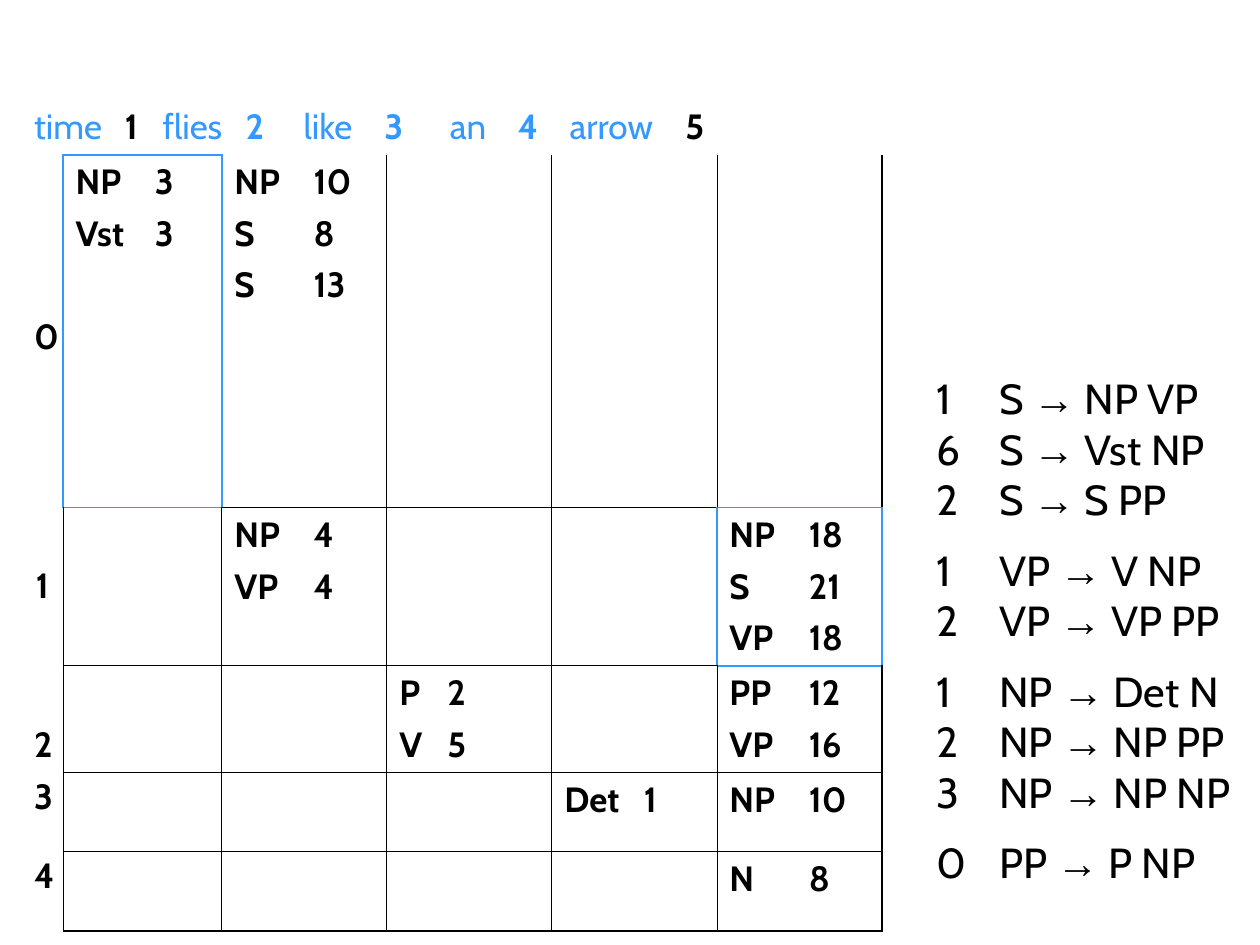
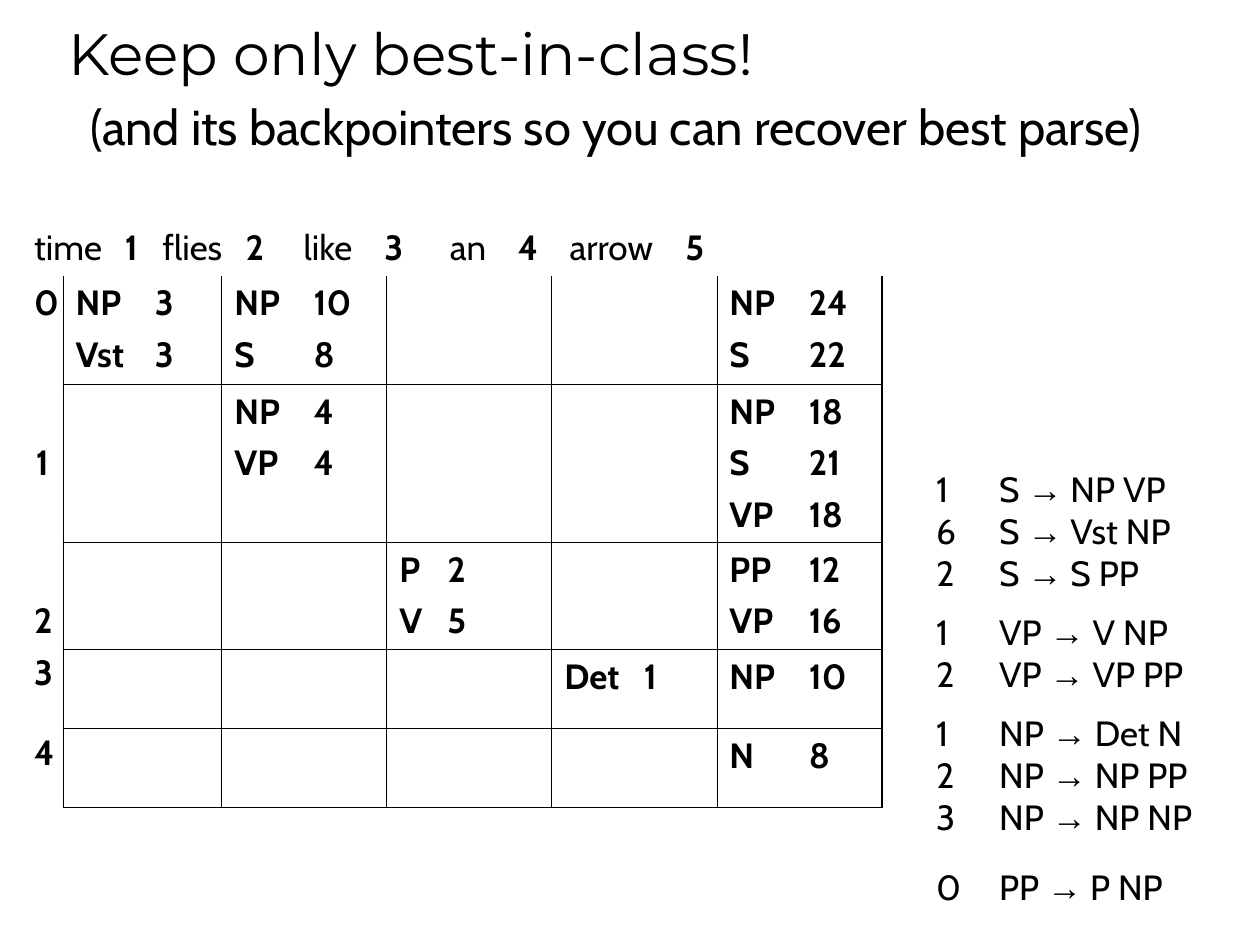
from lxml.etree import SubElement as Sub
from pptx import Presentation
from pptx.dml.color import RGBColor as RGB
from pptx.enum.text import MSO_ANCHOR as Anchor, MSO_AUTO_SIZE as Fit, PP_ALIGN as Align
from pptx.oxml.ns import qn
from pptx.util import Inches, Pt

BLACK = RGB(0x00, 0x00, 0x00)
BLUE = RGB(0x33, 0x99, 0xFF)
TEXT, HEAD, SIGN = "Cabin", "Montserrat", "Arial"
THIN, THICK = 0.45, 1.08
PLAIN = "{2D5ABB26-0587-4C30-8999-92F81FD0307C}"  # table style without grid

deck = Presentation()
deck.slide_width, deck.slide_height = Inches(10), Inches(7.5)
W, H = deck.slide_width, deck.slide_height


def put(shape, x, y, w, h):
    """Place a text shape by percent of the slide and return its first paragraph."""
    shape.left, shape.width = int(W * x / 100), int(W * w / 100)
    shape.top, shape.height = int(H * y / 100), int(H * h / 100)
    frame = shape.text_frame
    frame.word_wrap, frame.auto_size = True, Fit.NONE
    return frame.paragraphs[0]


def write(par, size, stops, runs):
    """Add tab stops, then runs of (text, face, colour, bold)."""
    if stops:
        tabs = Sub(par._p.get_or_add_pPr(), qn("a:tabLst"))
        for stop in stops:
            Sub(tabs, qn("a:tab"), pos=str(int(stop)), algn="l")
    for text, face, tone, bold in runs:
        run = par.add_run()
        run.text = text
        font = run.font
        font.name, font.size, font.bold = face, Pt(size), bold
        font.color.rgb = tone


# Sentence with its position numbers, and the stops between them
WORDS = ["time", "1", "flies", "2", "like", "3", "an", "4", "arrow", "5"]
STOPS = [0.72, 1.02, 1.68, 2.14, 2.78, 3.3, 3.84, 4.25, 5.17]

# Parse chart: columns, label spacing, and entries by (row, column)
COLS = [0.33] + [1.26] + [1.31] * 4
LEADS = [1.0, 2.2, 2.2, 0.9, 0.9]
SHARED = {
    (1, 1): ["NP 3", "Vst 3"],
    (2, 2): ["NP 4", "VP 4"],
    (2, 5): ["NP 18", "S 21", "VP 18"],
    (3, 3): ["P 2", "V 5"],
    (3, 5): ["PP 12", "VP 16"],
    (4, 4): ["Det 1"],
    (4, 5): ["NP 10"],
    (5, 5): ["N 8"],
}

# Grammar: groups of weighted rules, and the width in ems of each weight
RULES = [
    ["1 S NP VP", "6 S Vst NP", "2 S S PP"],
    ["1 VP V NP", "2 VP VP PP"],
    ["1 NP Det N", "2 NP NP PP", "3 NP NP NP"],
    ["0 PP P NP"],
]
EMS = {"1": 0.81, "0": 1.17}

# What differs between the slides
VIEWS = [
    dict(top=10.53, rows=[0.43, 2.8, 1.24, 0.84, 0.63, 0.63], drop=1.28,
         more={(1, 2): ["NP 10", "S 8", "S 13"]},
         mark=[(1, 1), (2, 5)], tones=[BLUE] * 10,
         rules=(38.8, 55.7), size=24, last=1.4, title=None),
    dict(top=23.33, rows=[0.43, 0.86, 1.25, 0.84, 0.63, 0.63], drop=0.05,
         more={(1, 2): ["NP 10", "S 8"], (1, 5): ["NP 24", "S 22"]},
         mark=[], tones=[BLACK] * 10,
         rules=(48.8, 48), size=20, last=1.68, title="Keep only best-in-class!"),
]
VIEWS[0]["tones"][1] = VIEWS[0]["tones"][9] = BLACK

for view in VIEWS:
    slide = deck.slides.add_slide(deck.slide_layouts[1])
    title, body = slide.placeholders

    # Table frame
    rows = view["rows"]
    frame = slide.shapes.add_table(
        len(rows), len(COLS), int(W * 0.017), int(H * view["top"] / 100),
        Inches(sum(COLS)), Inches(sum(rows)))
    table = frame.table
    table.first_row = table.horz_banding = False
    table._tbl.tblPr.find(qn("a:tableStyleId")).text = PLAIN
    for col, width in zip(table.columns, COLS):
        col.width = Inches(width)
    for row, height in zip(table.rows, rows):
        row.height = Inches(height)

    # Sentence across the top
    table.cell(0, 0).merge(table.cell(0, 5))
    runs = [(("\t" if n else "") + word, TEXT, tone, n % 2 == 1)
            for n, (word, tone) in enumerate(zip(WORDS, view["tones"]))]
    write(table.cell(0, 0).text_frame.paragraphs[0], 20,
          [Inches(stop) for stop in STOPS], runs)

    # Row labels
    for n, lead in enumerate(LEADS):
        cell = table.cell(n + 1, 0)
        par = cell.text_frame.paragraphs[0]
        par.alignment, par.line_spacing = Align.CENTER, lead
        write(par, 20, [], [(str(n), TEXT, BLACK, True)])
    table.cell(1, 0).margin_top = Inches(view["drop"])

    # Chart entries
    for (r, c), items in {**SHARED, **view["more"]}.items():
        box = table.cell(r, c).text_frame
        stop = Inches(0.38 if c == 3 else 0.63)
        for n, item in enumerate(items):
            par = box.add_paragraph() if n else box.paragraphs[0]
            if n:
                par.space_before = Pt(5)
            write(par, 20, [stop], [(item.replace(" ", "\t"), TEXT, BLACK, True)])

    # Cell borders: blue around marked cells, open above the first row
    for r in range(len(rows)):
        for c in range(len(COLS)):
            cell = table.cell(r, c)
            props = cell._tc.get_or_add_tcPr()
            sides = {"lnL": (r, c - 1), "lnR": (r, c + 1),
                     "lnT": (r - 1, c), "lnB": (r + 1, c)}
            for side, (y, x) in sides.items():
                blue = (r, c) in view["mark"] or (y, x) in view["mark"]
                inner = r > 0 and (c > 0 or side == "lnR")
                edge = x == len(COLS) or y == len(rows)
                line = Sub(props, qn("a:" + side))
                if blue or inner and y > 0:
                    width = THICK if blue or edge else THIN
                    line.set("w", str(int(Pt(width))))
                    fill = Sub(line, qn("a:solidFill"))
                    Sub(fill, qn("a:srgbClr"), val=str(BLUE if blue else BLACK))
                else:
                    Sub(line, qn("a:noFill"))
            cell.fill.background()

    # Grammar rules
    y, h = view["rules"]
    size = view["size"]
    par = put(body, 73.3, y, 26.7, h)
    for g, group in enumerate(RULES):
        for n, rule in enumerate(group):
            if g or n:
                par = body.text_frame.add_paragraph()
                par.space_before = Pt(0)
            num, left, right = rule.split(" ", 2)
            props = par._p.get_or_add_pPr()
            props.set("marL", "0")
            props.set("indent", "0")
            Sub(props, qn("a:buNone"))
            write(par, size, [Pt(size * EMS.get(num, 1.02))], [
                (f"{num}\t{left} ", TEXT, BLACK, False),
                ("→", SIGN, BLACK, False),
                (f" {right}", TEXT, BLACK, False)])
            if g and n == 0:
                par.line_spacing = 1.4
    par.line_spacing = view["last"]

    # Title and subtitle
    if view["title"] is None:
        title._element.getparent().remove(title._element)
        continue
    par = put(title, 4.4, 0.8, 92.2, 9.2)
    title.text_frame.vertical_anchor = Anchor.BOTTOM
    par.alignment, par.line_spacing = Align.LEFT, 0.9
    write(par, 33.3, [], [(view["title"], HEAD, BLACK, False)])
    note = slide.shapes.add_textbox(0, 0, W, H)
    par = put(note, 6.2, 9.6, 93.8, 7.6)
    write(par, 28, [], [("(and its backpointers so you can recover best parse)",
                         TEXT, BLACK, False)])

deck.save("out.pptx")
